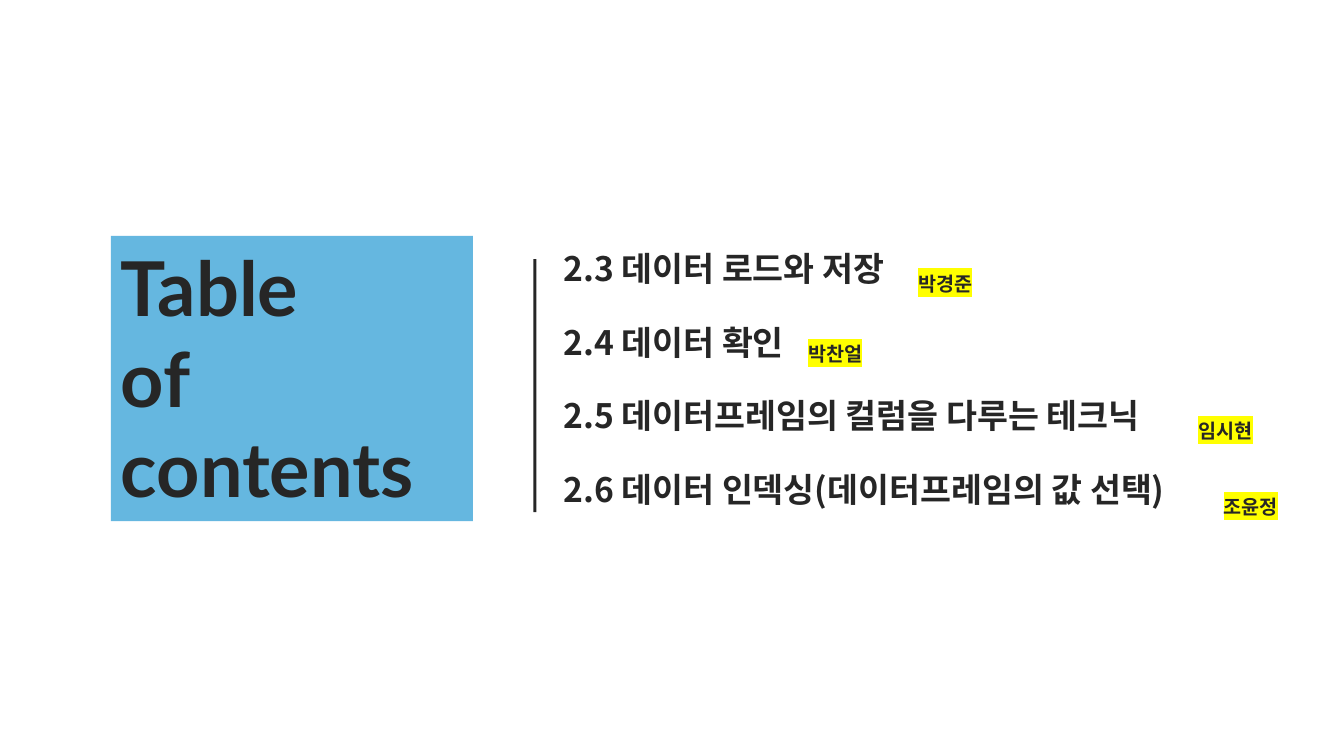
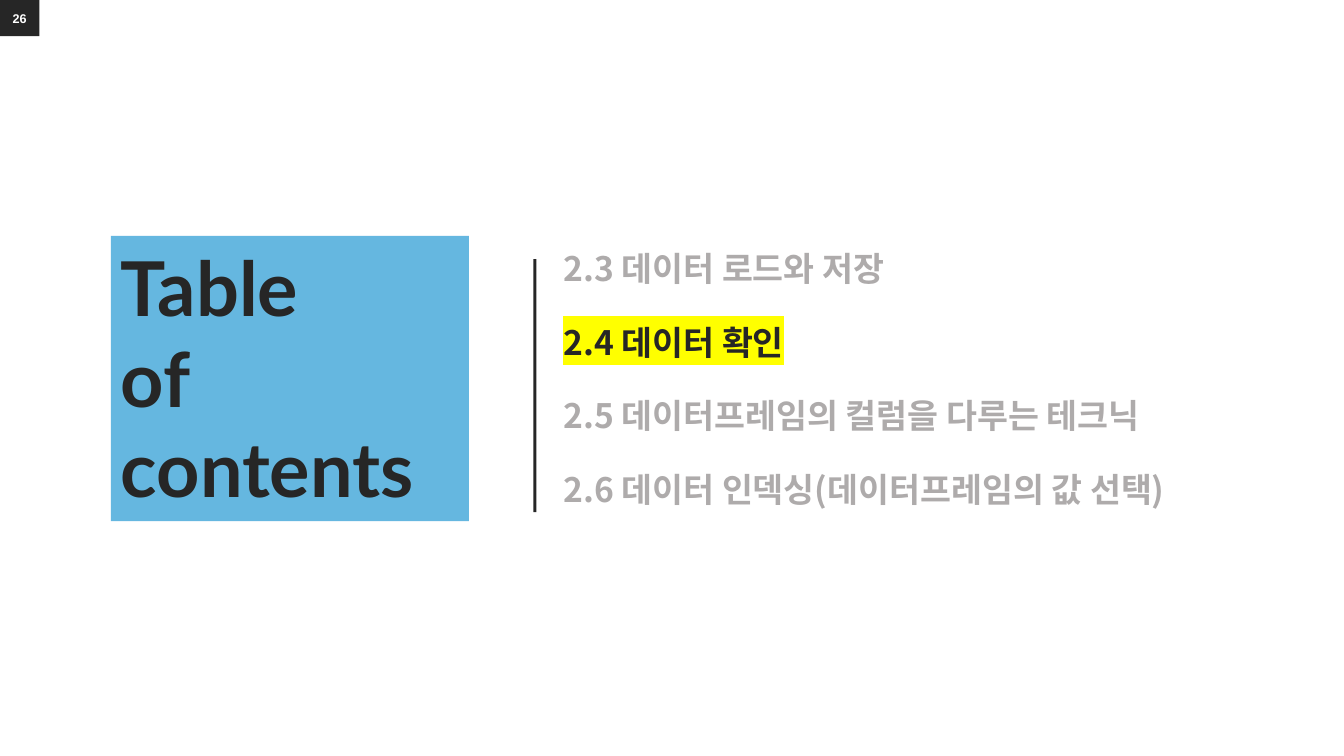
from lxml import etree
from pptx import Presentation
from pptx.dml.color import RGBColor
from pptx.enum.shapes import MSO_SHAPE
from pptx.enum.text import MSO_ANCHOR, PP_ALIGN
from pptx.oxml.ns import qn
from pptx.util import Inches, Pt

RECTANGLE = MSO_SHAPE.RECTANGLE
TOP, MIDDLE = MSO_ANCHOR.TOP, MSO_ANCHOR.MIDDLE
LEFT, CENTER = PP_ALIGN.LEFT, PP_ALIGN.CENTER

COLORS = {"ink": "262626", "panel": "65B7E0", "muted": "AEABAB",
          "marker": "FFFF00", "white": "FFFFFF"}
TITLE_FONT, BODY_FONT, NUMBER_FONT = "Lato", "Noto Sans CJK KR", "Arial"

TITLE = ["Table", "of contents"]
SECTIONS = [  # heading, box width
    ("2.3 데이터 로드와 저장", 5.13),
    ("2.4 데이터 확인", 5.13),
    ("2.5 데이터프레임의 컬럼을 다루는 테크닉", 6.51),
    ("2.6 데이터 인덱싱(데이터프레임의 값 선택)", 7.28),
]
PRESENTERS = [  # name, left, top
    ("박경준", 8.24, 2.64),
    ("박찬얼", 7.15, 3.34),
    ("임시현", 11.02, 4.10),
    ("조윤정", 11.27, 4.86),
]
SLIDES = [
    {"panel_width": 3.59, "presenters": PRESENTERS},
    {"panel_width": 3.55, "current": 1, "number": "26"},
]

PANEL_LEFT, PANEL_TOP, PANEL_HEIGHT = 1.1, 2.34, 2.83
LIST_LEFT, LIST_TOP, ROW_PITCH, ROW_HEIGHT = 5.49, 2.41, 0.73, 0.5
RULE_BOX = (5.29, 2.57, 0.03, 2.51)
NUMBER_BOX = (0, 0, 0.39, 0.36)
PRESENTER_SIZE = (2.27, 0.34)


def rgb(name):
    return RGBColor.from_string(COLORS[name])


def add_block(slide, box, fill):
    block = slide.shapes.add_shape(RECTANGLE, *map(Inches, box))
    block.shadow.inherit = False
    block.fill.solid()
    block.fill.fore_color.rgb = rgb(fill)
    block.line.fill.background()
    return block


def mark(run):
    """Put the marker colour behind a run."""
    highlight = etree.SubElement(run.font._element, qn("a:highlight"))
    etree.SubElement(highlight, qn("a:srgbClr"), val=COLORS["marker"])


def write(shape, lines, size, font, color="ink", align=LEFT, anchor=TOP,
          marked=False):
    frame = shape.text_frame
    frame.word_wrap = True
    frame.vertical_anchor = anchor
    frame.text = "\n".join(lines)
    for paragraph in frame.paragraphs:
        paragraph.alignment = align
        style = paragraph.font
        style.name, style.size, style.bold = font, Pt(size), True
        style.color.rgb = rgb(color)
        etree.SubElement(style._element, qn("a:ea"), typeface=font)
        if marked:
            mark(paragraph.runs[0])


def add_text(slide, box, text, size, **style):
    textbox = slide.shapes.add_textbox(*map(Inches, box))
    write(textbox, [text], size, BODY_FONT, **style)


def add_contents_slide(deck, panel_width, presenters=(), current=None,
                       number=None):
    slide = deck.slides.add_slide(deck.slide_layouts[6])
    panel = add_block(
        slide, (PANEL_LEFT, PANEL_TOP, panel_width, PANEL_HEIGHT), "panel")
    write(panel, TITLE, 54, TITLE_FONT)

    for row, (heading, width) in enumerate(SECTIONS):
        box = (LIST_LEFT, LIST_TOP + row * ROW_PITCH, width, ROW_HEIGHT)
        active = current is None or row == current
        add_text(slide, box, heading, 24, color="ink" if active else "muted",
                 marked=row == current)
    add_block(slide, RULE_BOX, "ink")

    for name, left, top in presenters:
        add_text(slide, (left, top, *PRESENTER_SIZE), name, 14,
                 align=CENTER, anchor=MIDDLE, marked=True)
    if number:
        badge = add_block(slide, NUMBER_BOX, "ink")
        write(badge, [number], 9, NUMBER_FONT, "white", CENTER, MIDDLE)


def main():
    deck = Presentation()
    deck.slide_width, deck.slide_height = Inches(13.33), Inches(7.5)
    for content in SLIDES:
        add_contents_slide(deck, **content)
    deck.save("out.pptx")


if __name__ == "__main__":
    main()
